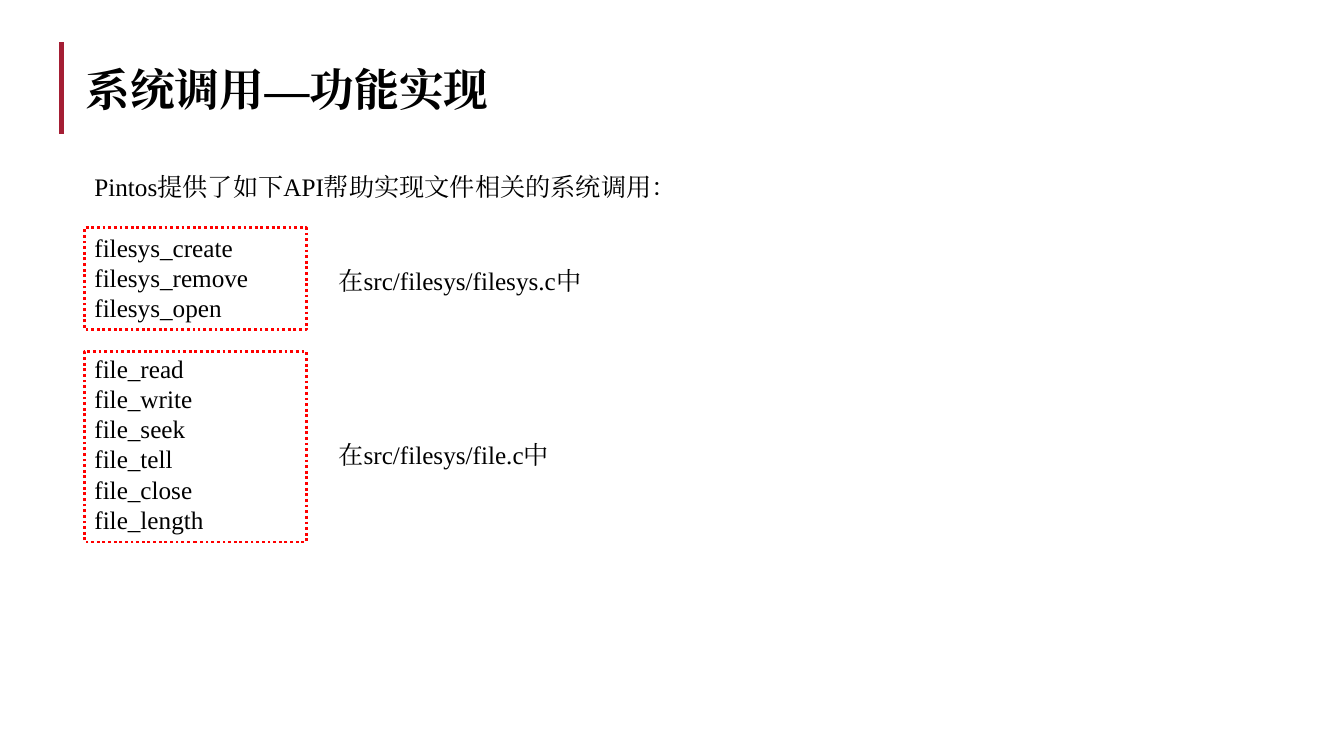
from dataclasses import dataclass

from lxml import etree
from pptx import Presentation
from pptx import util as u
from pptx.dml.color import RGBColor
from pptx.enum import dml, shapes
from pptx.oxml.ns import qn

FONT = "Times New Roman"
BLACK, RED, CRIMSON = "000000", "FF0000", "A41E34"
LIST_LEFT = 2.13
NOTE_LEFT = 8.28


@dataclass
class ApiGroup:
    functions: list[str]
    frame_top: float
    frame_height: float
    note: str
    note_top: float
    note_width: float


API_GROUPS = [
    ApiGroup(["filesys_create", "filesys_remove", "filesys_open"],
             5.74, 2.57, "在src/filesys/filesys.c中", 6.55, 6.73),
    ApiGroup(["file_read", "file_write", "file_seek", "file_tell", "file_close", "file_length"],
             8.86, 4.8, "在src/filesys/file.c中", 10.95, 5.89),
]


def color(value: str) -> RGBColor:
    return RGBColor.from_string(value)


def add_text(slide, blocks: list[list[str]], left: float, top: float, width: float,
             height: float, size: float = 18, bold: bool = False, gap: float = 21.7) -> None:
    """Write blocks of paragraphs, with a gap in points between blocks."""
    frame = slide.shapes.add_textbox(u.Cm(left), u.Cm(top), u.Cm(width), u.Cm(height)).text_frame
    frame.word_wrap = True
    lines = [(line, block_index > 0 and line_index == 0)
             for block_index, block in enumerate(blocks)
             for line_index, line in enumerate(block)]
    for index, (line, starts_block) in enumerate(lines):
        paragraph = frame.add_paragraph() if index else frame.paragraphs[0]
        if starts_block:
            paragraph.space_before = u.Pt(gap)
        run = paragraph.add_run()
        run.text = line
        run.font.size = u.Pt(size)
        run.font.bold = bold
        run.font.color.rgb = color(BLACK)
        run.font.name = FONT
        east_asian = etree.SubElement(run.font._element, qn("a:ea"))
        east_asian.set("typeface", FONT)


def add_title_bar(slide) -> None:
    bar = slide.shapes.add_connector(shapes.MSO_CONNECTOR.STRAIGHT,
                                     u.Cm(1.55), u.Cm(1.07), u.Cm(1.55), u.Cm(3.38))
    bar.line.color.rgb = color(CRIMSON)
    bar.line.width = u.Pt(3)
    etree.SubElement(bar._element.spPr, qn("a:effectLst"))


def add_dotted_frame(slide, top: float, height: float) -> None:
    shape = slide.shapes.add_shape(shapes.MSO_SHAPE.RECTANGLE, u.Cm(LIST_LEFT), u.Cm(top),
                                   u.Cm(5.59), u.Cm(height))
    shape.shadow.inherit = False
    shape.fill.background()
    shape.line.color.rgb = color(RED)
    shape.line.width = u.Pt(2)
    shape.line.dash_style = dml.MSO_LINE.ROUND_DOT


def main() -> None:
    presentation = Presentation()
    presentation.slide_width = u.Cm(33.87)
    presentation.slide_height = u.Cm(19.05)
    slide = presentation.slides.add_slide(presentation.slide_layouts[6])

    add_title_bar(slide)
    add_text(slide, [["系统调用—功能实现"]], 1.9, 1.42, 10.8, 1.63, size=32, bold=True)
    intro = ["Pintos提供了如下API帮助实现文件相关的系统调用："]
    add_text(slide, [intro] + [group.functions for group in API_GROUPS],
             LIST_LEFT, 4.19, 16, 9.5)
    for group in API_GROUPS:
        add_dotted_frame(slide, group.frame_top, group.frame_height)
        add_text(slide, [[group.note]], NOTE_LEFT, group.note_top, group.note_width, 1.02)

    presentation.save("out.pptx")


if __name__ == "__main__":
    main()
